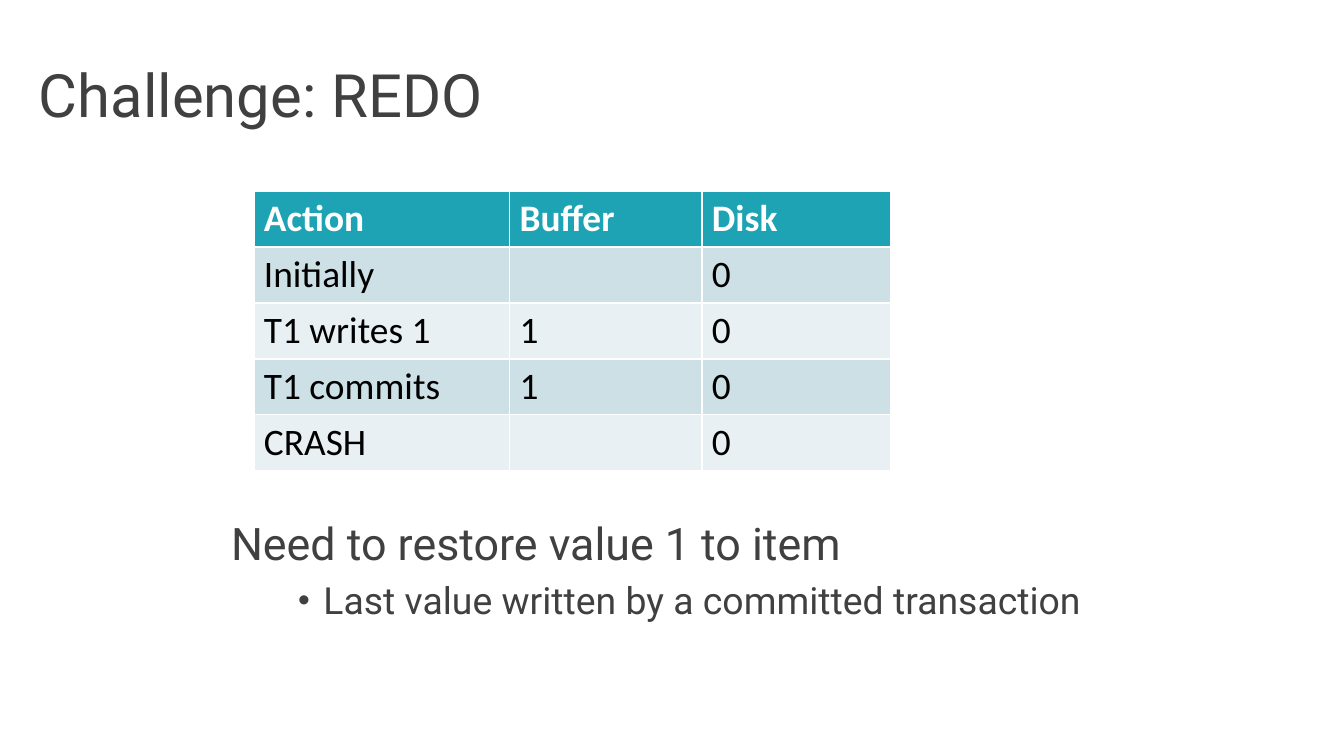
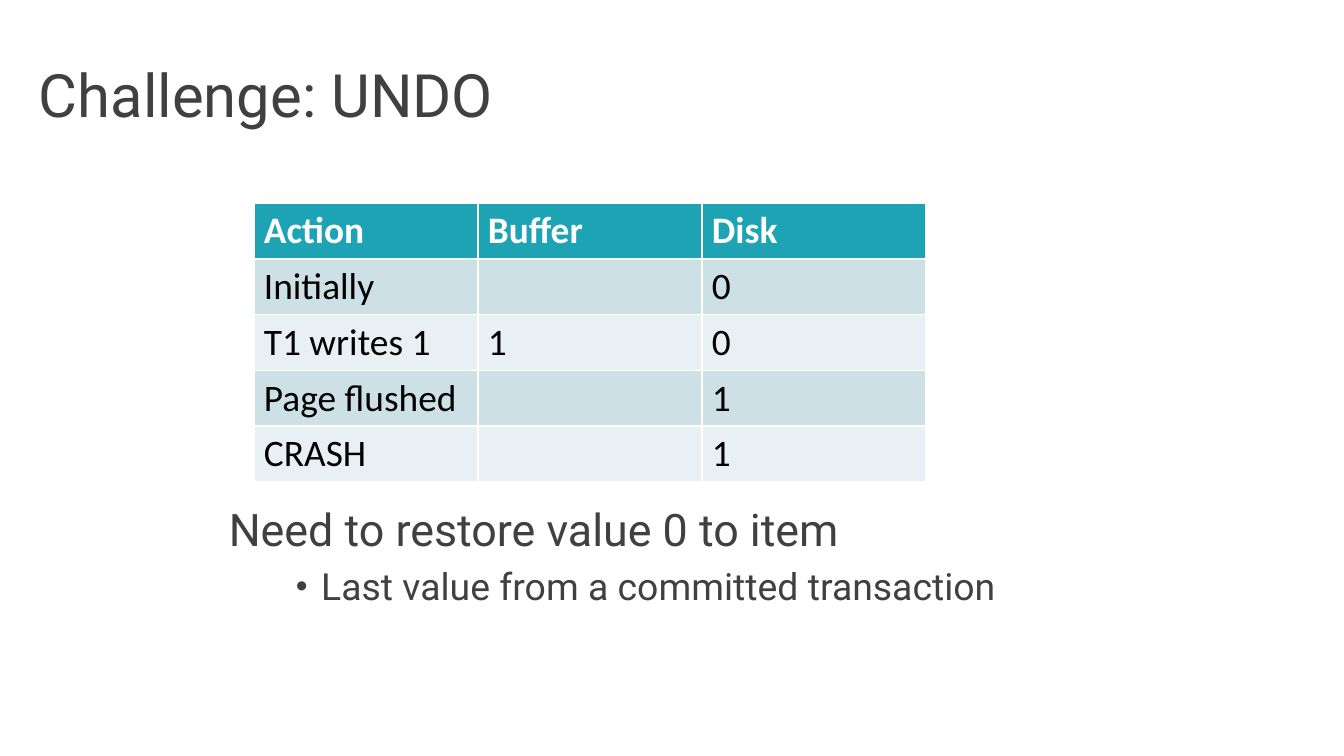
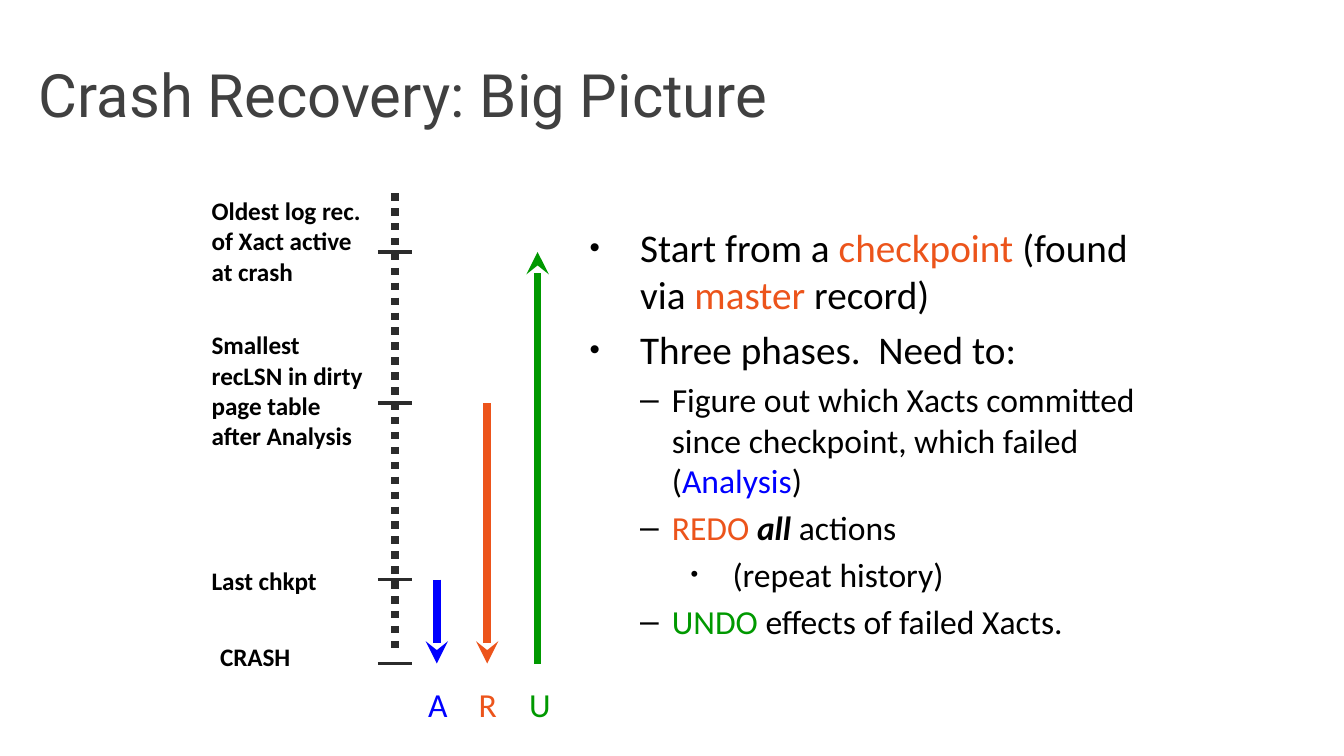
"""Build three slides on crash recovery: REDO, UNDO and the big picture."""
from lxml import etree
from pptx import Presentation
from pptx.dml.color import RGBColor
from pptx.enum import dml, shapes, text
from pptx.oxml.ns import qn
from pptx.util import Pt

GREY = RGBColor(0x40, 0x40, 0x40)
BLACK = RGBColor(0, 0, 0)
WHITE = RGBColor(0xFF, 0xFF, 0xFF)
CHARCOAL = RGBColor(0x2B, 0x2B, 0x2B)
TEAL = RGBColor(0x1E, 0xA3, 0xB5)
BANDS = [RGBColor(0xE8, 0xF0, 0xF3), RGBColor(0xCD, 0xE0, 0xE5)]
BLUE = RGBColor(0, 0, 0xFF)
ORANGE = RGBColor(0xEC, 0x54, 0x1B)
GREEN = RGBColor(0, 0x99, 0)

HEADING_FONT, BODY_FONT = "Roboto", "Calibri"
INSETS = (5.4, 2.7)

# level, size, left margin, hanging indent, bullet, bullet percent
NEED = (0, 24, 0, 0, None, 100)
REASON = (1, 20, 49.5, 13.5, "•", 90)
POINT = (0, 21, 27, 27, "•", 75)
PHASE = (1, 18, 44, 17, "–", 100)
ASIDE = (2, 18, 76.5, 22.5, "•", 65)
LABEL = (0, 13.5, 0, 0, None, 100)
LETTER = (0, 18, 0, 0, None, 100)


def add_text(slide, box, paragraphs, font=BODY_FONT, insets=INSETS, wrap=True):
    """Add a text box of (style, runs) paragraphs; a run is (text, colour, bold, italic)."""
    frame = slide.shapes.add_textbox(*map(Pt, box)).text_frame
    frame.word_wrap = wrap
    frame.margin_left = frame.margin_right = Pt(insets[0])
    frame.margin_top = frame.margin_bottom = Pt(insets[1])
    for index, (style, runs) in enumerate(paragraphs):
        level, size, margin, hanging, bullet, percent = style
        paragraph = frame.add_paragraph() if index else frame.paragraphs[0]
        paragraph.level = level
        if bullet:
            props = paragraph._p.get_or_add_pPr()
            props.set("marL", str(Pt(margin)))
            props.set("indent", str(-Pt(hanging)))
            color = etree.SubElement(props, qn("a:buClr"))
            etree.SubElement(color, qn("a:srgbClr"), val=str(runs[0][1] if font == HEADING_FONT else BLACK))
            etree.SubElement(props, qn("a:buSzPct"), val=str(percent * 1000))
            etree.SubElement(props, qn("a:buFont"), typeface="Arial")
            etree.SubElement(props, qn("a:buChar"), char=bullet)
        if index:
            paragraph.space_before = Pt(round(size * 0.2, 1))
        for words, color, bold, italic in runs:
            run = paragraph.add_run()
            run.text = words
            run.font.name, run.font.size = font, Pt(size)
            run.font.bold, run.font.italic = bold, italic
            run.font.color.rgb = color


def add_line(slide, start, end, color, width, arrow=None):
    """Add a straight line, with a stealth arrowhead at headEnd or tailEnd if asked."""
    line = slide.shapes.add_connector(shapes.MSO_CONNECTOR.STRAIGHT, *map(Pt, start + end))
    line.line.color.rgb = color
    line.line.width = Pt(width)
    if arrow:
        etree.SubElement(line.line._get_or_add_ln(), qn(f"a:{arrow}"), type="stealth")
    etree.SubElement(line._element.spPr, qn("a:effectLst"))
    return line


deck = Presentation()
deck.slide_width, deck.slide_height = Pt(720), Pt(405)

slides = []
for heading in ("Challenge: REDO", "Challenge: UNDO", "Crash Recovery: Big Picture"):
    slide = deck.slides.add_slide(deck.slide_layouts[5])
    title = slide.shapes.title
    title.left, title.top, title.width, title.height = Pt(13.7), Pt(16.5), Pt(697), Pt(67.7)
    title.text_frame.vertical_anchor = text.MSO_ANCHOR.MIDDLE
    paragraph = title.text_frame.paragraphs[0]
    paragraph.alignment = text.PP_ALIGN.LEFT
    run = paragraph.add_run()
    run.text = heading
    run.font.name, run.font.size = HEADING_FONT, Pt(32)
    run.font.color.rgb = GREY
    slides.append(slide)
redo, undo, recovery = slides

HEADER = ("Action", "Buffer", "Disk")
challenges = [
    (redo, 102.5, (137, 103, 101),
     [HEADER, ("Initially", "", "0"), ("T1 writes 1", "1", "0"),
      ("T1 commits", "1", "0"), ("CRASH", "", "0")],
     (116.7, 273, 510, 92), "Need to restore value 1 to item",
     "Last value written by a committed transaction"),
    (undo, 108.7, (120, 120, 120),
     [HEADER, ("Initially", "", "0"), ("T1 writes 1", "1", "0"),
      ("Page flushed", "", "1"), ("CRASH", "", "1")],
     (115.5, 265.5, 465, 83.5), "Need to restore value 0 to item",
     "Last value from a committed transaction"),
]
for slide, top, widths, rows, box, need, reason in challenges:
    table = slide.shapes.add_table(len(rows), len(widths), Pt(136), Pt(top),
                                   Pt(sum(widths)), Pt(147)).table
    for column, width in zip(table.columns, widths):
        column.width = Pt(width)
    for r, row in enumerate(rows):
        for c, value in enumerate(row):
            cell = table.cell(r, c)
            cell.fill.solid()
            cell.fill.fore_color.rgb = BANDS[r % 2] if r else TEAL
            cell.margin_left = cell.margin_right = Pt(INSETS[0])
            cell.margin_top = cell.margin_bottom = Pt(INSETS[1])
            if value:
                run = cell.text_frame.paragraphs[0].add_run()
                run.text = value
                run.font.name, run.font.size = BODY_FONT, Pt(20)
                run.font.bold = r == 0
                run.font.color.rgb = BLACK if r else WHITE
    add_text(slide, box, [(NEED, [(need, GREY, False, False)]),
                          (REASON, [(reason, GREY, False, False)])],
             HEADING_FONT, (7.2, 3.6))

phases = [
    (POINT, [("Start from a ", BLACK, False, False), ("checkpoint", ORANGE, False, False),
             (" (found via ", BLACK, False, False), ("master", ORANGE, False, False),
             (" record)", BLACK, False, False)]),
    (POINT, [("Three phases.  Need to:", BLACK, False, False)]),
    (PHASE, [("Figure out which Xacts committed since checkpoint, which failed (", BLACK, False, False),
             ("Analysis", BLUE, False, False), (")", BLACK, False, False)]),
    (PHASE, [("REDO ", ORANGE, False, False), ("all ", BLACK, True, True),
             ("actions", BLACK, False, False)]),
    (ASIDE, [("(repeat history)", BLACK, False, False)]),
    (PHASE, [("UNDO", GREEN, False, False), (" effects of failed Xacts.", BLACK, False, False)]),
]
add_text(recovery, (310.5, 117, 319.5, 240), phases)

OLDEST, SMALLEST, CHECKPOINT, CRASH = 135, 216, 310.5, 355.5
log_marks = [
    (OLDEST, 108, 102, 71, "Oldest log rec. of Xact active at crash"),
    (SMALLEST, 108, 174, 87, "Smallest recLSN in dirty page table after Analysis"),
    (CHECKPOINT, 108, 300, 22, "Last chkpt"),
    (CRASH, 112.5, 341, 22, "CRASH"),
]
for mark, left, top, height, label in log_marks:
    add_text(recovery, (left, top, 98.6, height), [(LABEL, [(label, BLACK, True, False)])])
    add_line(recovery, (202.5, mark), (220.5, mark), CHARCOAL, 2)
log = add_line(recovery, (211.5, 103.5), (211.5, 351), CHARCOAL, 4)
log.line.dash_style = dml.MSO_LINE.ROUND_DOT

passes = [("A", BLUE, CHECKPOINT, "tailEnd"), ("R", ORANGE, SMALLEST, "tailEnd"),
          ("U", GREEN, OLDEST, "headEnd")]
for index, (letter, color, reach, arrow) in enumerate(passes):
    x = 234 + 27 * index
    add_line(recovery, (x, reach), (x, CRASH), color, 4, arrow)
    add_text(recovery, (x - 10, 363.6, 23, 27.4), [(LETTER, [(letter, color, False, False)])],
             wrap=False)

deck.save("out.pptx")
